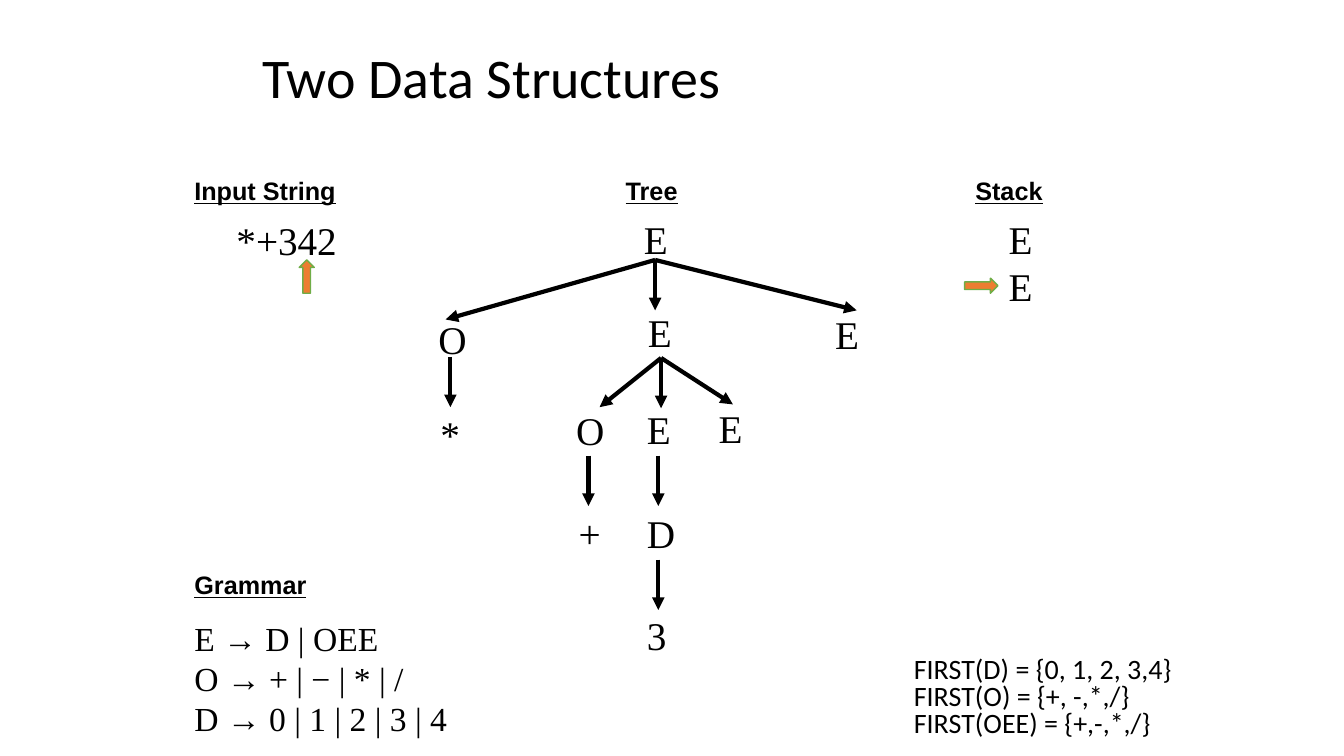
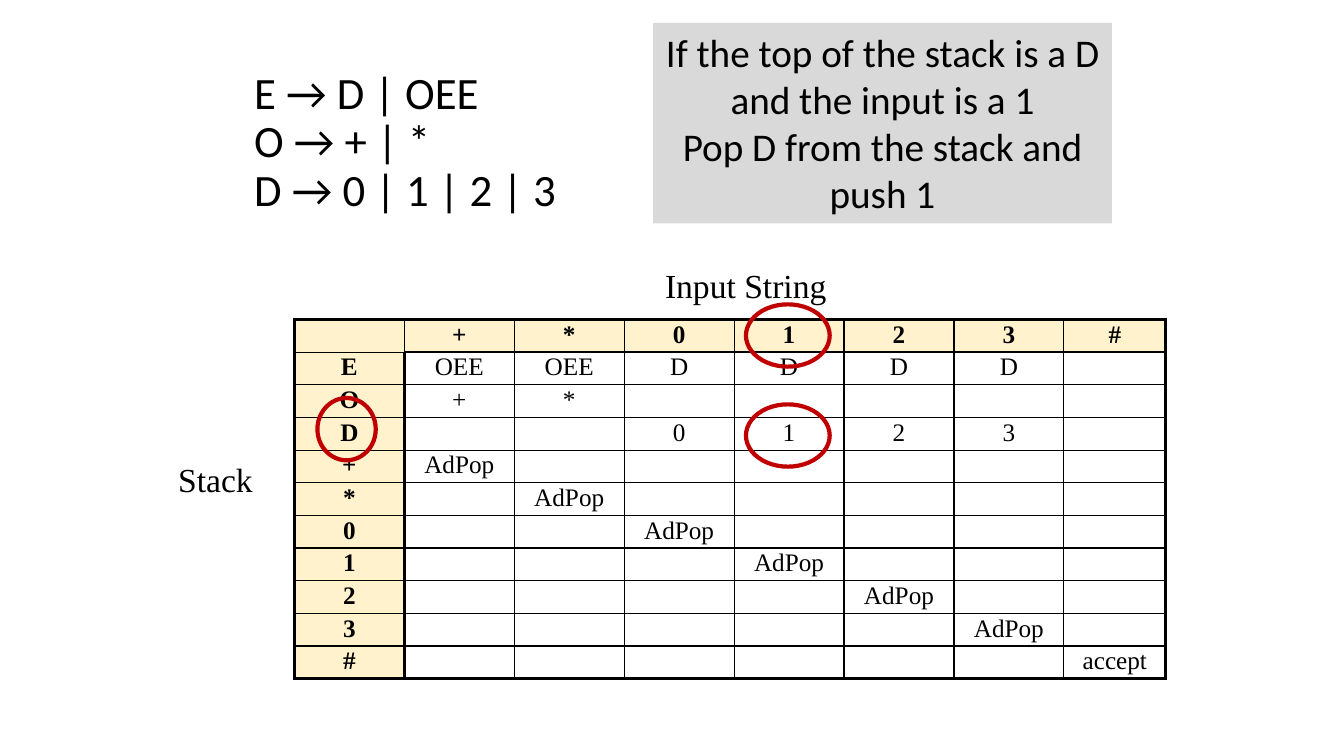
import lxml.etree
import pptx
import pptx.dml.color
import pptx.enum.shapes
import pptx.enum.text
import pptx.oxml.ns
import pptx.util

Cm = pptx.util.Cm
Pt = pptx.util.Pt
qn = pptx.oxml.ns.qn
SHAPE = pptx.enum.shapes.MSO_SHAPE
ALIGN = pptx.enum.text.PP_ALIGN
ANCHOR = pptx.enum.text.MSO_ANCHOR
AUTO = pptx.enum.text.MSO_AUTO_SIZE

COLORS = {"ink": "000000", "arrow": "ED7D31", "arrow_edge": "70AD47",
          "ring": "C00000", "note": "D9D9D9", "header": "FFF2CC"}
SERIF, SANS = "Times New Roman", "Calibri"
FORMATS = {
    "title": {"name": SANS, "size": Pt(40)},
    "rules": {"name": SANS, "size": Pt(32)},
    "note": {"name": SANS, "size": Pt(28)},
    "first": {"name": SANS, "size": Pt(20)},
    "heading": {"name": "Arial", "size": Pt(18), "bold": True, "underline": True},
    "symbol": {"name": SERIF, "size": Pt(28)},
    "body": {"name": SERIF, "size": Pt(24)},
    "cell": {"name": SERIF, "size": Pt(18), "bold": False},
    "cell_head": {"name": SERIF, "size": Pt(18), "bold": True},
}
SYMBOL_WIDTHS = {"E": 1.12, "O": 1.24, "D": 1.24, "*": 1.02, "3": 1.02, "+": 1.07}
THIN, THICK = Pt(1), Pt(2.25)


def rgb(name):
    return pptx.dml.color.RGBColor.from_string(COLORS[name])


def write(tf, text, style, align=ALIGN.LEFT, spacing=None):
    tf.text = text
    for p in tf.paragraphs:
        p.alignment = align
        if spacing:
            p.line_spacing = spacing
        for r in p.runs:
            for key, value in FORMATS[style].items():
                setattr(r.font, key, value)
            r.font.color.rgb = rgb("ink")


def place(sp, x, y, w, h):
    sp.left, sp.top, sp.width, sp.height = Cm(x), Cm(y), Cm(w), Cm(h)


def add_title(s, text, style, box):
    sp = s.shapes.title
    place(sp, *box)
    tf = sp.text_frame
    tf.auto_size = AUTO.NONE
    tf.vertical_anchor = ANCHOR.MIDDLE
    write(tf, text, style, spacing=0.9)


def add_text(s, text, style, x, y, w, h, wrap=False, spacing=None):
    sp = s.shapes.add_textbox(Cm(x), Cm(y), Cm(w), Cm(h))
    tf = sp.text_frame
    tf.word_wrap = wrap
    tf.auto_size = AUTO.SHAPE_TO_FIT_TEXT
    write(tf, text, style, spacing=spacing)
    return sp


def add_heading(s, text, x, y, w):
    add_text(s, text, "heading", x, y, w, 1.02)


def add_shape(s, kind, x, y, w, h, fill=None, line=None, weight=1):
    sp = s.shapes.add_shape(kind, Cm(x), Cm(y), Cm(w), Cm(h))
    sp.shadow.inherit = False
    if fill:
        sp.fill.solid()
        sp.fill.fore_color.rgb = rgb(fill)
    else:
        sp.fill.background()
    if line:
        sp.line.color.rgb = rgb(line)
        sp.line.width = Pt(weight)
    else:
        sp.line.fill.background()
    return sp


def add_pointer(s, x, y, rotation=0):
    sp = add_shape(s, SHAPE.UP_ARROW, x, y, 0.38, 0.84, "arrow", "arrow_edge")
    sp.rotation = rotation


def add_branch(s, x1, y1, x2, y2):
    c = s.shapes.add_connector(pptx.enum.shapes.MSO_CONNECTOR.STRAIGHT,
                               Cm(x1), Cm(y1), Cm(x2), Cm(y2))
    c.line.color.rgb = rgb("ink")
    c.line.width = Pt(3)
    ln = c.line._get_or_add_ln()
    lxml.etree.SubElement(ln, qn("a:tailEnd"), type="triangle")
    lxml.etree.SubElement(c._element.spPr, qn("a:effectLst"))


def add_input(s, x, y):
    add_heading(s, "Input String", x, y, 4.11)
    add_text(s, "*+342", "symbol", x + 1.06, y + 1.03, 3.05, 1.45)
    add_pointer(s, x + 2.89, y + 2.25)


def add_stack(s, x, y):
    add_heading(s, "Stack", x, y, 2.24)
    add_text(s, "E\nE", "symbol", x + 0.84, y + 1.01, 1.12, 2.64)
    add_pointer(s, x + 0.21, y + 2.48, 90)


def add_tree(s, x, y):
    add_heading(s, "Tree", x + 4.72, y, 1.83)
    nodes = [("E", 5.18, 1.01), ("O", 0, 3.52), ("E", 5.28, 3.35), ("E", 10, 3.4),
             ("*", 0.05, 5.91), ("O", 3.47, 5.81), ("E", 5.25, 5.78),
             ("E", 7.06, 5.76), ("+", 3.53, 8.4), ("D", 5.25, 8.4), ("3", 5.25, 10.99)]
    for symbol, dx, dy in nodes:
        add_text(s, symbol, "symbol", x + dx, y + dy, SYMBOL_WIDTHS[symbol], 1.45)
    branches = {
        (5.71, 2.25): [(0.43, 3.75), (5.71, 3.52), (10.79, 3.52)],
        (0.55, 4.69): [(0.55, 5.96)],
        (5.86, 4.72): [(4.31, 5.96), (5.86, 5.99), (7.67, 5.89)],
        (4.03, 7.18): [(4.03, 8.45)],
        (5.79, 7.18): [(5.79, 8.45)],
        (5.79, 9.8): [(5.79, 11.07)],
    }
    for (x1, y1), ends in branches.items():
        for x2, y2 in ends:
            add_branch(s, x + x1, y + y1, x + x2, y + y2)


def add_grammar(s, x, y):
    add_heading(s, "Grammar", x, y, 3.35)
    add_text(s, "E → D | OEE\nO → + | − | * | /\nD → 0 | 1 | 2 | 3 | 4",
             "body", x, y + 1.22, 7.42, 3.33, wrap=True)


def add_first_sets(s, x, y):
    text = "FIRST(D) = {0, 1, 2, 3,4}\nFIRST(O) = {+, -,*,/}\nFIRST(OEE) = {+,-,*,/}"
    sp = add_text(s, text, "first", x, y, 8.36, 2.34, spacing=0.8)
    for p in sp.text_frame.paragraphs:
        p.level = 1
        pPr = p._p.get_or_add_pPr()
        pPr.set("marL", str(Cm(1.27)))
        pPr.set("indent", "0")


def add_note(s, x, y, w, h):
    sp = add_shape(s, SHAPE.RECTANGLE, x, y, w, h, "note")
    tf = sp.text_frame
    tf.word_wrap = False
    tf.auto_size = AUTO.SHAPE_TO_FIT_TEXT
    tf.vertical_anchor = ANCHOR.TOP
    write(tf, "If the top of the stack is a D\nand the input is a 1\n"
              "Pop D from the stack and\npush 1", "note", ALIGN.CENTER)


def set_borders(cell, widths):
    tcPr = cell._tc.get_or_add_tcPr()
    for side, width in widths.items():
        ln = lxml.etree.SubElement(tcPr, qn("a:ln" + side), w=str(width))
        fill = lxml.etree.SubElement(ln, qn("a:solidFill"))
        lxml.etree.SubElement(fill, qn("a:srgbClr"), val=COLORS["ink"])


def parse_rows():
    terminals = "+*0123#"
    entries = {"E": dict(zip(terminals, ["OEE"] * 2 + ["D"] * 4)),
               "O": {t: t for t in "+*"},
               "D": {t: t for t in "0123"}}
    entries.update({t: {t: "AdPop"} for t in terminals})
    entries["#"] = {"#": "accept"}
    rows = [[""] + list(terminals)]
    for symbol, moves in entries.items():
        rows.append([symbol] + [moves.get(t, "") for t in terminals])
    return rows


def format_cell(cell, text, i, j, last_row, last_col):
    head = i == 0 or j == 0
    cell.margin_left = cell.margin_right = Cm(0.25)
    cell.margin_top = cell.margin_bottom = Cm(0.03)
    set_borders(cell, {
        "L": THICK if j == 0 or (j == 1 and i > 0) else THIN,
        "R": THICK if j == last_col or (j == 0 and i > 0) else THIN,
        "T": THICK if i == 0 or (i == 1 and j > 0) else THIN,
        "B": THICK if i == last_row or (i == 0 and j > 0) else THIN,
    })
    if head:
        cell.fill.solid()
        cell.fill.fore_color.rgb = rgb("header")
    else:
        cell.fill.background()
    if text:
        write(cell.text_frame, text, "cell_head" if head else "cell", ALIGN.CENTER)
    else:
        p = cell.text_frame.paragraphs[0]
        lxml.etree.SubElement(p._p, qn("a:endParaRPr"), sz="1200")


def add_parse_table(s, x, y):
    rows = parse_rows()
    widths = [2.77] * 7 + [2.57]
    row_height = 0.81
    tbl = s.shapes.add_table(len(rows), len(widths), Cm(x + 3.18), Cm(y + 1.5),
                             Cm(sum(widths)), Cm(row_height * len(rows))).table
    tbl.first_row = tbl.horz_banding = False
    for col, w in zip(tbl.columns, widths):
        col.width = Cm(w)
    for i, row in enumerate(rows):
        tbl.rows[i].height = Cm(row_height)
        for j, text in enumerate(row):
            format_cell(tbl.cell(i, j), text, i, j, len(rows) - 1, len(widths) - 1)
    add_text(s, "Stack", "body", x, y + 4.88, 3.18, 1.27, wrap=True)
    add_text(s, "Input String", "body", x + 12.27, y, 5.51, 1.27, wrap=True)
    for dx, dy, w in [(3.76, 3.48, 1.47), (14.56, 1.12, 2.11), (14.56, 3.64, 2.11)]:
        add_shape(s, SHAPE.OVAL, x + dx, y + dy, w, 1.57, line="ring", weight=3)


def build_structures(s):
    add_title(s, "Two Data Structures", "title", (6.35, 0.43, 21.59, 3.18))
    add_input(s, 4.65, 4.3)
    add_tree(s, 10.8, 4.3)
    add_stack(s, 24.33, 4.3)
    add_grammar(s, 4.65, 14.22)
    add_first_sets(s, 21.51, 16.46)


def build_parse_table(s):
    add_title(s, "E → D | OEE\vO → + | *\vD → 0 | 1 | 2 | 3", "rules",
              (6.15, 1.07, 11.86, 5.08))
    add_note(s, 16.46, 0.58, 11.56, 5.05)
    add_parse_table(s, 4.24, 6.55)


def main():
    prs = pptx.Presentation()
    prs.slide_width, prs.slide_height = Cm(33.87), Cm(19.05)
    for build in (build_structures, build_parse_table):
        build(prs.slides.add_slide(prs.slide_layouts[5]))
    prs.save("out.pptx")


if __name__ == "__main__":
    main()
